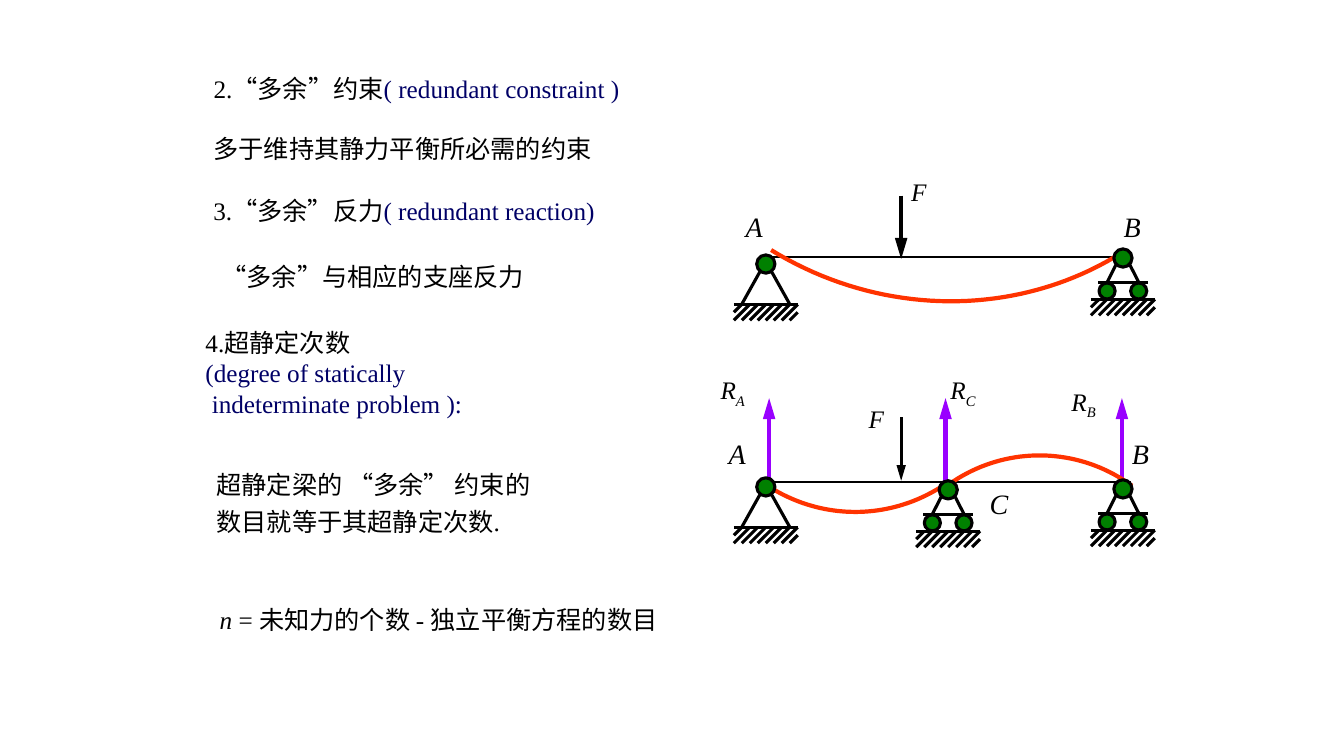
"""Build a slide on redundant constraints of beams, with two loaded beams drawn beside the text."""
from lxml import etree
from pptx import Presentation
from pptx.dml.color import RGBColor
from pptx.enum import lang, shapes, text
from pptx.oxml import ns
from pptx.util import Pt

HUE = {"ink": "000000", "navy": "000066", "force": "9900FF",
       "bend": "FF3300", "ball": "008000"}
FACE = {"name": "Times New Roman", "bold": False,
        "language_id": lang.MSO_LANGUAGE_ID.SIMPLIFIED_CHINESE}
FRAME = {"word_wrap": True, "auto_size": text.MSO_AUTO_SIZE.NONE,
         "vertical_anchor": text.MSO_ANCHOR.TOP,
         "margin_left": Pt(7.2), "margin_right": Pt(7.2),
         "margin_top": Pt(3.6), "margin_bottom": Pt(3.6)}
STYLE = {"ink": {}, "navy": {}, "slant": {"italic": True}, "sub": {"italic": True}}

HEAD = ((145.4, 49, 538.6, 28.8),
        [[("2.“多余”约束", "ink"), ("( redundant constraint )", "navy")]])
NOTES = [
    ((145.4, 91.4, 430.6, 28.8), 1, [[("多于维持其静力平衡所必需的约束", "ink")]]),
    ((145.4, 136.1, 419.8, 28.8), 1,
     [[("3.“多余”反力", "ink"), ("( redundant reaction)", "navy")]]),
    ((151.2, 182.9, 317.5, 28.8), 1, [[("“多余”与相应的支座反力", "ink")]]),
    ((139.7, 230.4, 331.9, 72.7), 1,
     [[("4.超静定次数", "ink")], [("(degree of statically", "navy")],
      [(" indeterminate problem ):", "navy")]]),
    ((147.6, 327.6, 343.4, 57.6), 1.2,
     [[("超静定梁的 “多余” 约束的", "ink")], [("数目就等于其超静定次数.", "ink")]]),
    ((149.8, 428.4, 505.4, 28.8), 1,
     [[("n", "slant"), (" = 未知力的个数 - 独立平衡方程的数目", "ink")]]),
]
LABELS = [
    ("A", "", 525.6, 146.2, 20), ("B", "", 795.6, 146.2, 20), ("F", "", 643.7, 122.4, 18),
    ("A", "", 513.4, 308.2, 20), ("B", "", 801.4, 308.2, 20), ("C", "", 699.8, 344.2, 20),
    ("F", "", 613.4, 284.4, 18), ("R", "A", 507.6, 264.2, 18),
    ("R", "C", 671.8, 264.2, 18), ("R", "B", 758.2, 272.2, 18),
]
BEAMS = [183.6, 344.2]
LOADS = [(643.7, 139.7, 185, "ink", 3), (643.7, 298.1, 343.4, "ink", 2.25)]
LOADS += [(x, 344.2, 284.4, "force", 3) for x in (549.4, 675.4, 801.4)]
CURVES = [
    ((802.1, 180), (727.2, 227.5), (629.3, 226.8), (550.8, 178.6)),
    ((674.6, 346.3), (637.9, 370.8), (591.1, 372.2), (553, 349.9)),
    ((671.8, 350.6), (711.4, 318.2), (767.5, 316.8), (808.6, 347)),
]
PINS = [(547, 188.6), (547, 347.8)]
ROLLS = [(802.1, 184.3), (802.1, 349.2), (677.3, 349.9)]

deck = Presentation()
deck.slide_width, deck.slide_height = Pt(960), Pt(540)
slide = deck.slides.add_slide(deck.slide_layouts[5])
draw = slide.shapes


def apply(item, form):
    for key, value in form.items():
        setattr(item, key, value)


def paint(part, hue):
    part.solid()
    part.fore_color.rgb = RGBColor.from_string(HUE[hue])


def write(box, paras, size=18, space=1):
    frame = box.text_frame
    apply(frame, FRAME)
    for n, runs in enumerate(paras):
        para = frame.paragraphs[0] if n == 0 else frame.add_paragraph()
        apply(para, {"alignment": text.PP_ALIGN.LEFT, "line_spacing": space})
        for words, style in runs:
            run = para.add_run()
            run.text = words
            apply(run.font, {**FACE, "size": Pt(size), **STYLE[style]})
            paint(run.font.fill, "navy" if style == "navy" else "ink")
            if style == "sub":
                run.font._element.set("baseline", "-25000")


def note(area, paras, size=18, space=1):
    write(draw.add_textbox(*map(Pt, area)), paras, size, space)


def line(x1, y1, x2, y2, hue="ink", width=2.25, tip=False):
    bar = draw.add_connector(shapes.MSO_CONNECTOR.STRAIGHT, *map(Pt, (x1, y1, x2, y2)))
    paint(bar.line.fill, hue)
    bar.line.width = Pt(width)
    if tip:
        etree.SubElement(bar.line._get_or_add_ln(), ns.qn("a:tailEnd"),
                         type="triangle", w="med", len="lg")
    etree.SubElement(bar._element.spPr, ns.qn("a:effectLst"))


def ball(x, y, size):
    disc = draw.add_shape(shapes.MSO_SHAPE.OVAL,
                          *map(Pt, (x - size / 2, y - size / 2, size, size)))
    disc.shadow.inherit = False
    paint(disc.fill, "ball")
    paint(disc.line.fill, "ink")
    disc.line.width = Pt(2.25)


def bend(ends, steps=40):
    dots = []
    for n in range(steps + 1):
        t = n / steps
        mix = ((1 - t) ** 3, 3 * t * (1 - t) ** 2, 3 * t * t * (1 - t), t ** 3)
        dots.append(tuple(Pt(sum(m * p[k] for m, p in zip(mix, ends))) for k in (0, 1)))
    path = draw.build_freeform(*dots[0])
    path.add_line_segments(dots[1:], close=False)
    arc = path.convert_to_shape()
    arc.shadow.inherit = False
    arc.fill.background()
    paint(arc.line.fill, "bend")
    arc.line.width = Pt(3)


def ground(x, y, gap=5.7, count=8):
    left = x - gap * count / 2
    line(left, y, left + gap * count, y)
    for k in range(1, count + 2):
        top, low = max(0, k - count), min(2, k)
        line(left + (k - top) * gap, y + top * gap, left + (k - low) * gap, y + low * gap)


def pin(x, y):
    for side in (-1, 1):
        line(x + side * 4, y + 5.2, x + side * 17.2, y + 28.8)
    ground(x, y + 28.8)
    ball(x, y, 13)


def roll(x, y):
    for side in (-1, 1):
        line(x + side * 4.8, y + 4.5, x + side * 11.2, y + 17.2)
    line(x - 17.7, y + 17.4, x + 17.7, y + 17.4)
    ground(x, y + 29.5)
    for side in (-1, 1):
        ball(x + side * 11.3, y + 23.6, 11.5)
    ball(x, y, 13)


title = draw.title
apply(title, dict(zip(("left", "top", "width", "height"), map(Pt, HEAD[0]))))
write(title, HEAD[1])
for area, space, paras in NOTES:
    note(area, paras, space=space)
for y in BEAMS:
    line(549.4, y, 807.8, y, width=1.5)
for x, start, end, hue, width in LOADS:
    line(x, start, x, end, hue, width, True)
for ends in CURVES:
    bend(ends)
for spot in PINS:
    pin(*spot)
for spot in ROLLS:
    roll(*spot)
for name, sub, x, y, size in LABELS:
    runs = [(name, "slant")] + ([(sub, "sub")] if sub else [])
    note((x, y, 79.2 if sub else 36, size * 1.2 + 7.2), [runs], size)

deck.save("out.pptx")
